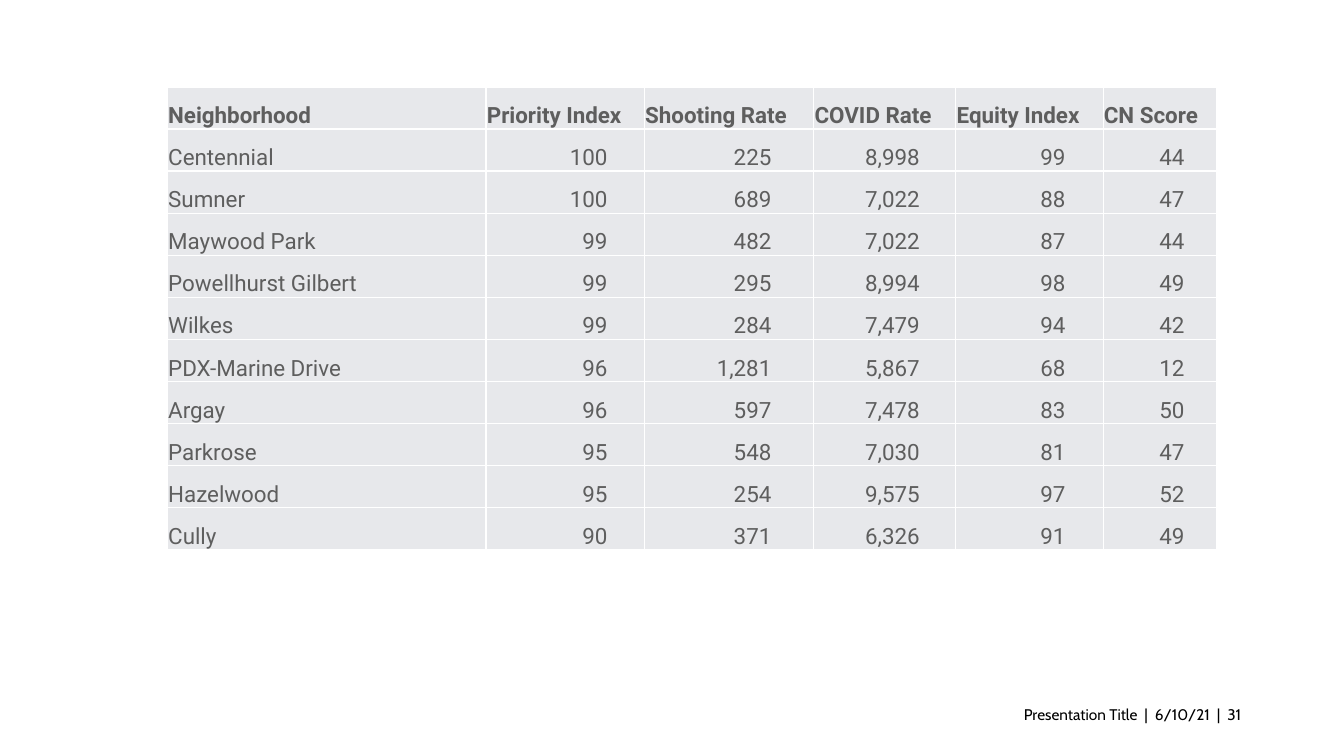
"""Build a slide with a neighborhood priority table and a footer."""
from lxml import etree
from pptx import Presentation
from pptx import util as u
from pptx.dml.color import RGBColor
from pptx.enum import text
from pptx.oxml import ns

COLORS = {"cell": "E7E8EB", "text": "5E5E5E", "border": "FFFFFF", "footer": "000000"}
COLUMN_WIDTHS = [8.03, 3.99, 4.27, 3.58, 3.71, 2.87]
NUMBER_INSETS = [0.93, 1.07, 0.91, 0.95, 0.82]
HEADER_HEIGHT, ROW_HEIGHT = 1.04, 1.06
HEADERS = ["Neighborhood", "Priority Index", "Shooting Rate",
           "COVID Rate", "Equity Index", "CN Score"]
NEIGHBORHOODS = [
    ("Centennial", 100, 225, 8998, 99, 44),
    ("Sumner", 100, 689, 7022, 88, 47),
    ("Maywood Park", 99, 482, 7022, 87, 44),
    ("Powellhurst Gilbert", 99, 295, 8994, 98, 49),
    ("Wilkes", 99, 284, 7479, 94, 42),
    ("PDX-Marine Drive", 96, 1281, 5867, 68, 12),
    ("Argay", 96, 597, 7478, 83, 50),
    ("Parkrose", 95, 548, 7030, 81, 47),
    ("Hazelwood", 95, 254, 9575, 97, 52),
    ("Cully", 90, 371, 6326, 91, 49),
]


def add_run(paragraph, words, font, size, color, bold=False):
    run = paragraph.add_run()
    run.text = words
    run.font.name = font
    run.font.size = u.Pt(size)
    run.font.bold = bold
    run.font.color.rgb = RGBColor.from_string(COLORS[color])


def add_borders(cell):
    properties = cell._tc.get_or_add_tcPr()
    for index, side in enumerate(("lnL", "lnR", "lnT", "lnB")):
        line = etree.Element(ns.qn(f"a:{side}"), w=str(u.Pt(1)))
        fill = etree.SubElement(line, ns.qn("a:solidFill"))
        etree.SubElement(fill, ns.qn("a:srgbClr"), val=COLORS["border"])
        properties.insert(index, line)


def fill_cell(cell, words, bold=False, number_inset=None):
    cell.fill.solid()
    cell.fill.fore_color.rgb = RGBColor.from_string(COLORS["cell"])
    add_borders(cell)
    cell.vertical_anchor = text.MSO_ANCHOR.BOTTOM
    cell.margin_left = cell.margin_top = cell.margin_right = u.Cm(0.02)
    cell.margin_bottom = 0
    paragraph = cell.text_frame.paragraphs[0]
    if number_inset is not None:
        cell.margin_right = u.Cm(number_inset)
        paragraph.alignment = text.PP_ALIGN.RIGHT
    add_run(paragraph, words, "Roboto", 16, "text", bold)


def add_neighborhood_table(slide):
    height = HEADER_HEIGHT + ROW_HEIGHT * len(NEIGHBORHOODS)
    table = slide.shapes.add_table(
        len(NEIGHBORHOODS) + 1, len(HEADERS), u.Cm(4.22), u.Cm(2.21),
        u.Cm(sum(COLUMN_WIDTHS)), u.Cm(height)).table
    table.horz_banding = False
    for column, width in zip(table.columns, COLUMN_WIDTHS):
        column.width = u.Cm(width)
    for index, row in enumerate(table.rows):
        row.height = u.Cm(ROW_HEIGHT if index else HEADER_HEIGHT)
    for column, header in enumerate(HEADERS):
        fill_cell(table.cell(0, column), header, bold=True)
    for row, (name, *numbers) in enumerate(NEIGHBORHOODS, 1):
        fill_cell(table.cell(row, 0), name)
        for column, (number, inset) in enumerate(zip(numbers, NUMBER_INSETS), 1):
            fill_cell(table.cell(row, column), f"{number:,}", number_inset=inset)


def add_footer(slide, words):
    shape = slide.shapes.add_textbox(u.Cm(12.52), u.Cm(17.65), u.Cm(19.02), u.Cm(1.02))
    shape.text_frame.word_wrap = True
    paragraph = shape.text_frame.paragraphs[0]
    paragraph.alignment = text.PP_ALIGN.RIGHT
    add_run(paragraph, words, "Cabin", 11, "footer")


def main():
    presentation = Presentation()
    presentation.slide_width = u.Cm(33.87)
    presentation.slide_height = u.Cm(19.05)
    slide = presentation.slides.add_slide(presentation.slide_layouts[6])
    add_footer(slide, "Presentation Title  |  6/10/21  |  31")
    add_neighborhood_table(slide)
    presentation.save("out.pptx")


if __name__ == "__main__":
    main()
